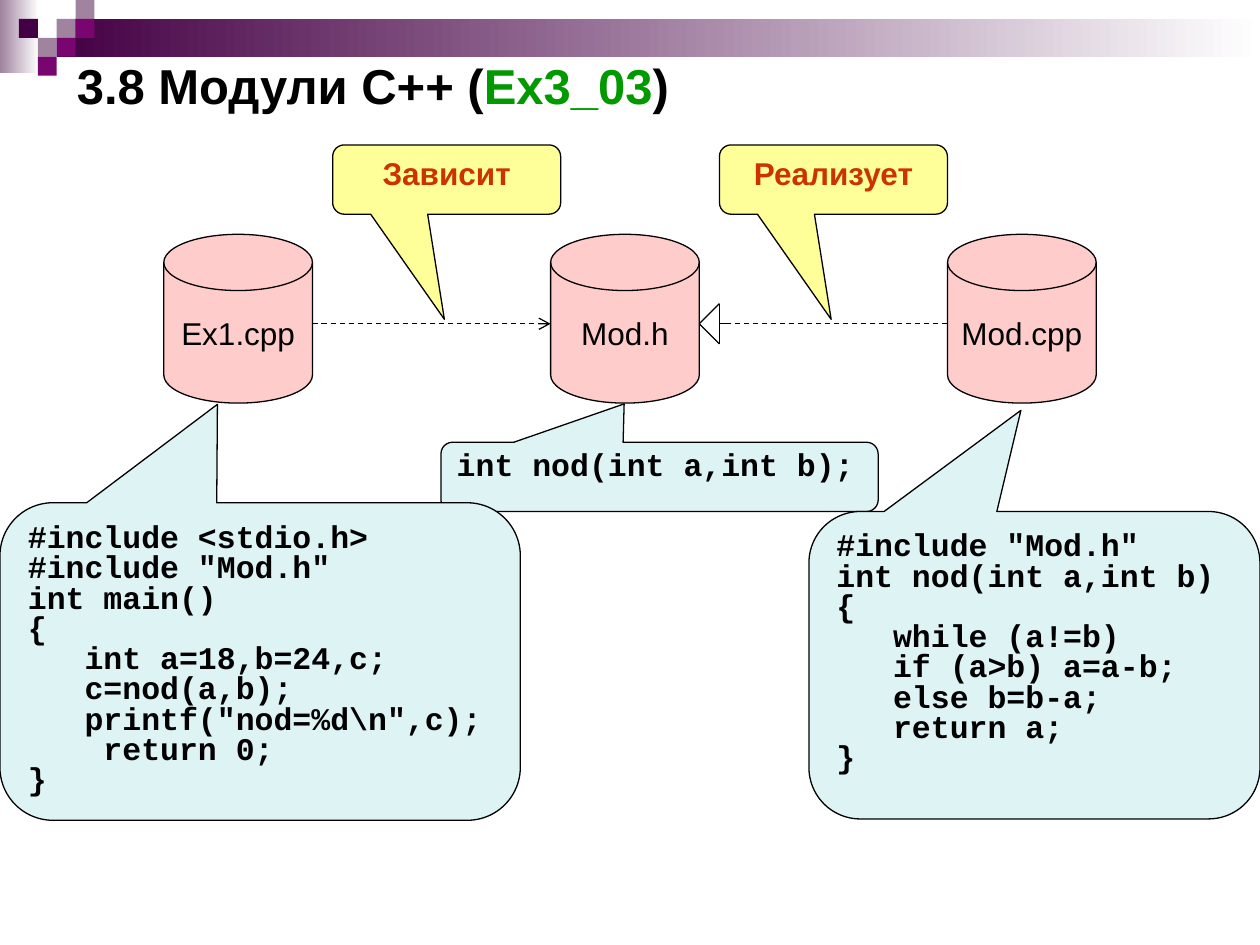
from dataclasses import dataclass

from pptx import Presentation
from pptx.dml.color import RGBColor
from pptx.enum.dml import MSO_LINE
from pptx.enum.shapes import MSO_CONNECTOR, MSO_SHAPE
from pptx.enum.text import MSO_ANCHOR, PP_ALIGN
from pptx.oxml.ns import qn
from pptx.util import Inches, Pt
from lxml.etree import SubElement


@dataclass(frozen=True)
class Theme:
    black: str = "000000"
    white: str = "FFFFFF"
    plum: str = "440044"
    violet: str = "790571"
    mauve: str = "9F839F"
    green: str = "009900"
    red: str = "CC3300"
    pink: str = "FFCCCC"
    yellow: str = "FFFF99"
    aqua: str = "DEF3F4"
    sans: str = "Arial"
    mono: str = "Courier New"
    title_size: int = 28
    text_size: int = 18
    outline: float = 0.75


THEME = Theme()

MAIN_CODE = r"""#include <stdio.h>
#include "Mod.h"
int main()
{
   int a=18,b=24,c;
   c=nod(a,b);
   printf("nod=%d\n",c);
    return 0;
}"""

MODULE_CODE = """#include "Mod.h"
int nod(int a,int b)
{
   while (a!=b)
   if (a>b) a=a-b;
   else b=b-a;
   return a;
}"""


def apply(target, values):
    for attribute, value in values.items():
        setattr(target, attribute, value)


def style_font(font, color, **values):
    apply(font, {"name": THEME.sans, "size": Pt(THEME.text_size), "bold": False, **values})
    font.color.rgb = RGBColor.from_string(color)


def add_block(slide, preset, box, color):
    block = slide.shapes.add_shape(preset, *map(Inches, box))
    block.shadow.inherit = False
    block.fill.solid()
    block.fill.fore_color.rgb = RGBColor.from_string(color)
    block.line.fill.background()
    return block


def outline(block):
    block.line.color.rgb = RGBColor.from_string(THEME.black)
    block.line.width = Pt(THEME.outline)


def write(block, text, color, paragraph_format, frame_format, **font_values):
    frame = block.text_frame
    apply(frame, frame_format)
    for index, line in enumerate(text.split("\n")):
        paragraph = frame.add_paragraph() if index else frame.paragraphs[0]
        apply(paragraph, paragraph_format)
        run = paragraph.add_run()
        run.text = line
        style_font(run.font, color, **font_values)


def add_gradient(slide, box, start):
    band = add_block(slide, MSO_SHAPE.RECTANGLE, box, start)
    band.fill.gradient()
    band.fill.gradient_angle = 0
    for stop, color in zip(band.fill.gradient_stops, (start, THEME.white)):
        stop.color.rgb = RGBColor.from_string(color)


def add_header(slide):
    add_gradient(slide, (0, 0, 0.31, 0.58), THEME.mauve)
    add_gradient(slide, (0.45, 0.15, 9.55, 0.3), THEME.plum)
    tile = 0.15
    for column, row, color in (
        (3, 1, THEME.mauve), (4, 0, THEME.mauve), (4, 1, THEME.violet),
        (2, 2, THEME.mauve), (1, 1, THEME.plum), (3, 2, THEME.violet),
        (2, 3, THEME.violet),
    ):
        add_block(slide, MSO_SHAPE.RECTANGLE, (column * tile, row * tile, tile, tile), color)


def add_title(slide, parts):
    title = slide.shapes.title
    apply(title, {"left": Inches(0.51), "top": Inches(0.36),
                  "width": Inches(9), "height": Inches(0.63)})
    apply(title.text_frame, {"vertical_anchor": MSO_ANCHOR.MIDDLE, "word_wrap": True})
    heading = title.text_frame.paragraphs[0]
    heading.alignment = PP_ALIGN.LEFT
    for text, color in parts:
        run = heading.add_run()
        run.text = text
        style_font(run.font, color, size=Pt(THEME.title_size), bold=True)


def add_file(slide, left, name):
    cylinder = add_block(slide, MSO_SHAPE.FLOWCHART_MAGNETIC_DISK,
                         (left, 1.86, 1.18, 1.34), THEME.pink)
    outline(cylinder)
    write(cylinder, name, THEME.black, {"alignment": PP_ALIGN.CENTER},
          {"vertical_anchor": MSO_ANCHOR.MIDDLE, "word_wrap": False})


def add_line(slide, start, end, dashed=False, arrow=False):
    link = slide.shapes.add_connector(MSO_CONNECTOR.STRAIGHT, *map(Inches, start + end))
    outline(link)
    if dashed:
        link.line.dash_style = MSO_LINE.DASH
    properties = link._element.spPr
    if arrow:
        SubElement(properties.find(qn("a:ln")), qn("a:tailEnd"), type="arrow")
    SubElement(properties, qn("a:effectLst"))


def add_callout(slide, box, pointer, text, color, text_color, paragraph_format, font_name):
    callout = add_block(slide, MSO_SHAPE.ROUNDED_RECTANGULAR_CALLOUT, box, color)
    outline(callout)
    for index, value in enumerate((*pointer, 0.167)):
        callout.adjustments[index] = value
    write(callout, text, text_color, paragraph_format,
          {"vertical_anchor": MSO_ANCHOR.TOP, "word_wrap": True},
          name=font_name, bold=True)


def add_relation(slide, left, text):
    add_callout(slide, (left, 1.15, 1.81, 0.55), (-0.01, 2.017), text,
                THEME.yellow, THEME.red, {"alignment": PP_ALIGN.CENTER}, THEME.sans)


def add_code(slide, box, pointer, code):
    add_callout(slide, box, pointer, code, THEME.aqua, THEME.black,
                {"alignment": PP_ALIGN.LEFT, "line_spacing": 0.8}, THEME.mono)


def add_links(slide):
    axis = 2.57
    tip, top, bottom = (5.55, axis), (5.71, axis - 0.16), (5.71, axis + 0.16)
    add_line(slide, (2.48, axis), (4.37, axis), dashed=True, arrow=True)
    add_line(slide, (7.52, axis), (5.79, axis), dashed=True)
    add_line(slide, (5.71, axis), (5.79, axis))
    for start, end in ((bottom, top), (top, tip), (tip, bottom)):
        add_line(slide, start, end)


def main():
    deck = Presentation()
    apply(deck, {"slide_width": Inches(10), "slide_height": Inches(7.5)})
    slide = deck.slides.add_slide(deck.slide_layouts[5])
    add_header(slide)
    add_title(slide, (("3.8 Модули C++ (", THEME.black), ("Ex3_03", THEME.green),
                      (")", THEME.black)))
    for left, name in ((1.3, "Ex1.cpp"), (4.37, "Mod.h"), (7.52, "Mod.cpp")):
        add_file(slide, left, name)
    add_links(slide)
    add_relation(slide, 2.64, "Зависит")
    add_relation(slide, 5.71, "Реализует")
    add_code(slide, (3.5, 3.51, 3.47, 0.55), (-0.081, -1.054), "int nod(int a,int b);")
    add_code(slide, (0, 3.99, 4.13, 2.52), (-0.082, -0.81), MAIN_CODE)
    add_code(slide, (6.42, 4.06, 3.58, 2.44), (-0.03, -0.829), MODULE_CODE)
    deck.save("out.pptx")


if __name__ == "__main__":
    main()
